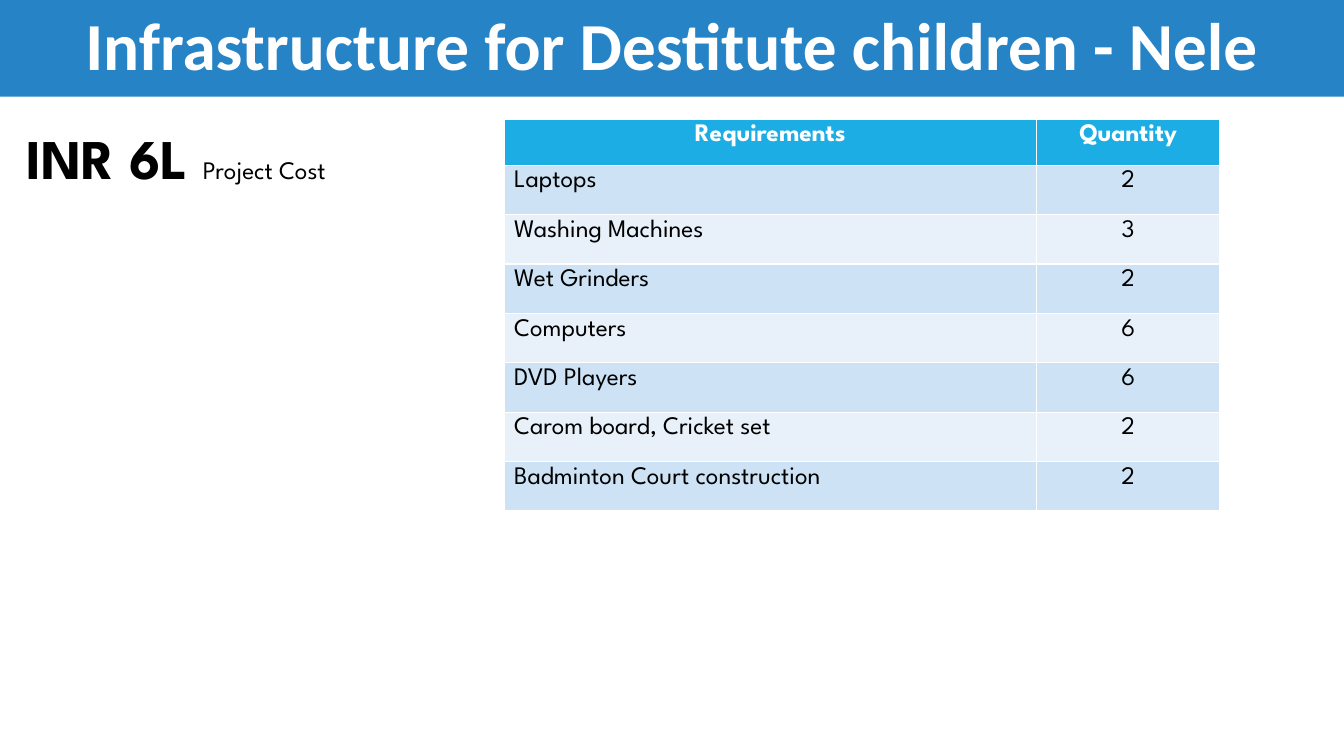
from pptx import Presentation
from pptx.dml.color import RGBColor
from pptx.enum.shapes import MSO_SHAPE
from pptx.enum.text import MSO_ANCHOR, PP_ALIGN
from pptx.util import Inches, Pt

WHITE = RGBColor(0xFF, 0xFF, 0xFF)
BLACK = RGBColor(0, 0, 0)
TITLE_BLUE = RGBColor(0x26, 0x83, 0xC6)
HEADER_BLUE = RGBColor(0x1C, 0xAD, 0xE4)
BAND_DARK = RGBColor(0xCD, 0xE3, 0xF5)
BAND_LIGHT = RGBColor(0xE8, 0xF1, 0xFA)
BODY_FONT = "League Spartan"

REQUIREMENTS = [
    ("Requirements", "Quantity"),
    ("Laptops", "2"),
    ("Washing Machines", "3"),
    ("Wet Grinders", "2"),
    ("Computers", "6"),
    ("DVD Players", "6"),
    ("Carom board, Cricket set", "2"),
    ("Badminton Court construction", "2"),
]


def add_span(para, text, size, color, bold=False, font=BODY_FONT):
    span = para.add_run()
    span.text = text
    span.font.name = font
    span.font.size = Pt(size)
    span.font.bold = bold
    span.font.color.rgb = color


deck = Presentation()
deck.slide_width = Inches(13.33)
deck.slide_height = Inches(7.5)
page = deck.slides.add_slide(deck.slide_layouts[6])

# Title band
banner = page.shapes.add_shape(MSO_SHAPE.RECTANGLE, 0, 0, deck.slide_width, Inches(0.96))
banner.shadow.inherit = False
banner.fill.solid()
banner.fill.fore_color.rgb = TITLE_BLUE
banner.line.fill.background()
banner.text_frame.word_wrap = True
banner.text_frame.vertical_anchor = MSO_ANCHOR.MIDDLE
para = banner.text_frame.paragraphs[0]
para.alignment = PP_ALIGN.CENTER
para.line_spacing = 0.9
add_span(para, "Infrastructure for Destitute children - Nele", 48, WHITE, True, "Calibri")

# Project cost
cost_box = page.shapes.add_textbox(Inches(0.16), Inches(1.18), Inches(3.51), Inches(0.77))
cost_box.text_frame.word_wrap = True
para = cost_box.text_frame.paragraphs[0]
add_span(para, "INR 6L ", 40, BLACK, True)
add_span(para, "Project Cost", 18, BLACK)

# Requirements table
table = page.shapes.add_table(
    len(REQUIREMENTS), 2, Inches(5), Inches(1.18), Inches(7.1), Inches(3.89)
).table
table.columns[0].width = Inches(5.28)
table.columns[1].width = Inches(1.82)

for row, texts in enumerate(REQUIREMENTS):
    is_header = row == 0
    table.rows[row].height = Inches(0.46 if is_header else 0.49)
    band = BAND_DARK if row % 2 else BAND_LIGHT
    for column, text in enumerate(texts):
        cell = table.cell(row, column)
        cell.fill.solid()
        cell.fill.fore_color.rgb = HEADER_BLUE if is_header else band
        para = cell.text_frame.paragraphs[0]
        para.alignment = PP_ALIGN.CENTER if is_header or column == 1 else PP_ALIGN.LEFT
        add_span(para, text, 18, WHITE if is_header else BLACK, is_header)

deck.save("out.pptx")
